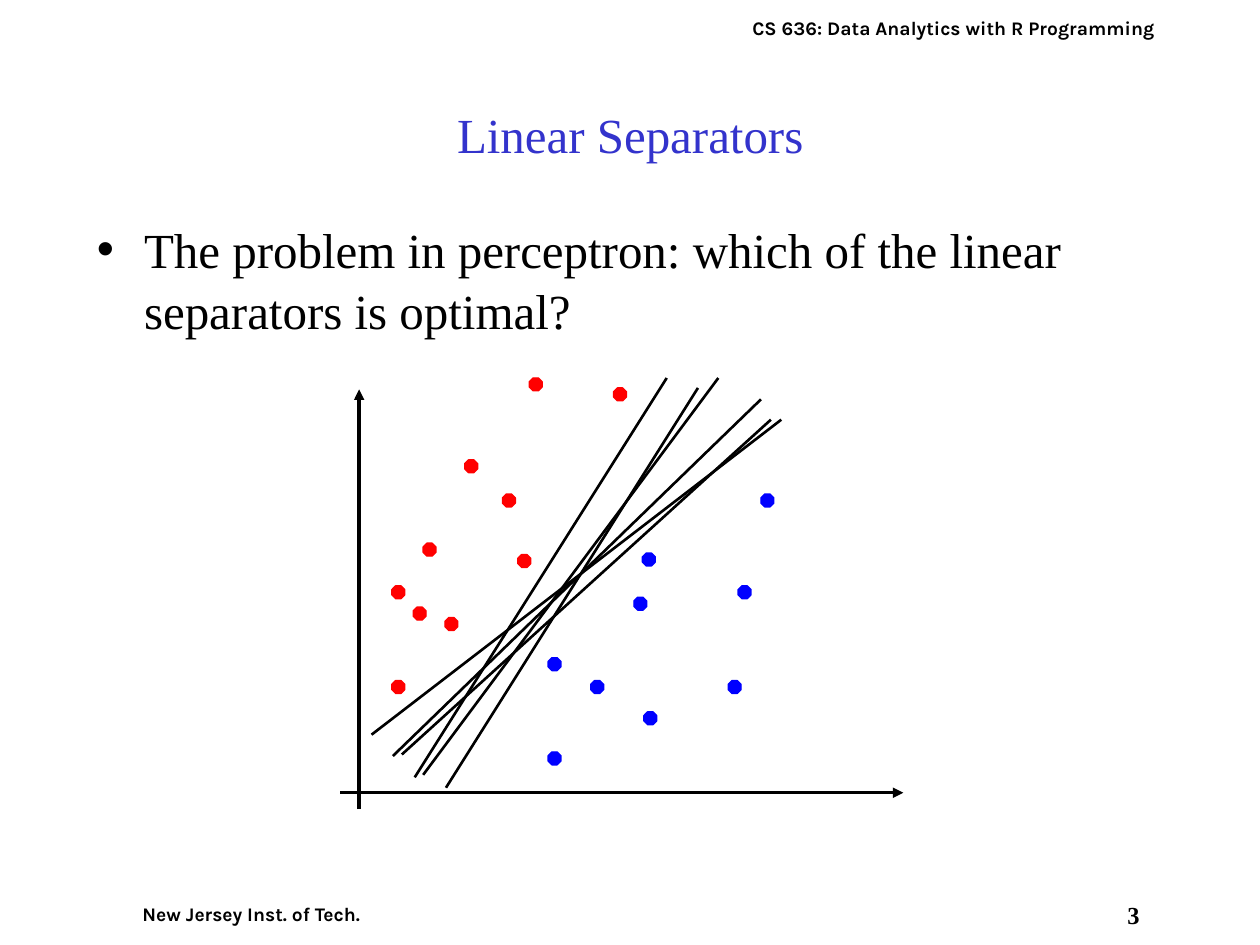
from lxml.etree import SubElement
from pptx import Presentation
from pptx.dml.color import RGBColor
from pptx.enum.shapes import MSO_CONNECTOR as Connector, MSO_SHAPE as Shape
from pptx.enum.text import MSO_ANCHOR as Anchor, MSO_AUTO_SIZE as AutoSize, PP_ALIGN as Align
from pptx.oxml.ns import qn
from pptx.util import Cm, Pt

COLORS = {
    "ink": "000000",
    "paper": "FFFFFF",
    "title": "3333CC",
    "red": "FF0000",
    "blue": "0000FF",
}
SERIF, SANS = "Times New Roman", "Karla"
DOT_SIZE = 0.26
RED_CLASS = [
    (10.13, 9.96), (8.53, 10.95), (8.97, 12.45), (7.9, 13.72), (9.37, 9.27),
    (7.9, 11.81), (8.33, 12.24), (10.44, 11.18), (10.67, 7.62), (12.37, 7.82),
]
BLUE_CLASS = [
    (12.95, 11.15), (11.91, 13.72), (14.68, 13.72), (11.05, 15.16), (12.78, 12.04),
    (11.05, 13.26), (12.98, 14.35), (14.88, 11.81), (15.34, 9.96),
]
AXES = [(7.24, 16.31, 7.24, 7.85), (6.86, 15.98, 18.21, 15.98)]
SEPARATORS = [
    (8.1, 15.21, 15.54, 8.46), (8.53, 15.62, 14.48, 7.62), (7.49, 14.81, 15.75, 8.46),
    (8.99, 15.88, 14.07, 7.82), (8.36, 15.67, 13.44, 7.62), (7.92, 15.24, 15.34, 8.05),
]


def rgb(name):
    """Return the palette colour with this name."""
    return RGBColor.from_string(COLORS[name])


def write(frame, text, size, font=SERIF, color="ink", bold=False, align=Align.CENTER, spacing=1.0):
    """Write one formatted paragraph into a text frame and return it."""
    frame.word_wrap = True
    frame.auto_size = AutoSize.NONE
    paragraph = frame.paragraphs[0]
    paragraph.alignment = align
    paragraph.space_before = Pt(0)
    paragraph.line_spacing = spacing
    run = paragraph.add_run()
    run.text = text
    run.font.size = Pt(size)
    run.font.name = font
    run.font.bold = bold
    run.font.color.rgb = rgb(color)
    return paragraph


def place(placeholder, left, top, width, height):
    """Move and size a placeholder."""
    placeholder.left, placeholder.top = Cm(left), Cm(top)
    placeholder.width, placeholder.height = Cm(width), Cm(height)
    return placeholder.text_frame


def add_bullet(paragraph, indent):
    """Give a paragraph a black bullet with a hanging indent."""
    properties = paragraph._p.get_or_add_pPr()
    properties.set("marL", str(Cm(indent)))
    properties.set("indent", str(-Cm(indent)))
    bullet_color = SubElement(properties, qn("a:buClr"))
    SubElement(bullet_color, qn("a:srgbClr"), val=COLORS["ink"])
    SubElement(properties, qn("a:buChar"), char="•")


def add_label(slide, text, left, top, width, height, inset, **style):
    """Add a bold line of running header or footer text."""
    label = slide.shapes.add_textbox(Cm(left), Cm(top), Cm(width), Cm(height))
    label.fill.solid()
    label.fill.fore_color.rgb = rgb("paper")
    frame = label.text_frame
    frame.margin_left = frame.margin_right = Cm(inset)
    frame.margin_top = frame.margin_bottom = Cm(inset)
    write(frame, text, bold=True, **style)


def add_dot(slide, left, top, color):
    """Add one data point."""
    dot = slide.shapes.add_shape(Shape.OCTAGON, Cm(left), Cm(top), Cm(DOT_SIZE), Cm(DOT_SIZE))
    dot.shadow.inherit = False
    dot.fill.solid()
    dot.fill.fore_color.rgb = dot.line.color.rgb = rgb(color)
    dot.line.width = Pt(0.75)


def add_line(slide, ends, width, arrow=False):
    """Add a straight black line, with an arrowhead at its end if asked."""
    line = slide.shapes.add_connector(Connector.STRAIGHT, *map(Cm, ends))
    line.line.color.rgb = rgb("ink")
    line.line.width = Pt(width)
    if arrow:
        SubElement(line.line._get_or_add_ln(), qn("a:tailEnd"), type="triangle")
    SubElement(line._element.spPr, qn("a:effectLst"))


def main():
    """Build the slide and save it."""
    deck = Presentation()
    deck.slide_width, deck.slide_height = Cm(25.4), Cm(19.05)
    slide = deck.slides.add_slide(deck.slide_layouts[1])

    heading = place(slide.shapes.title, 1.91, 1.1, 21.59, 3.18)
    heading.vertical_anchor = Anchor.MIDDLE
    write(heading, "Linear Separators", 28, color="title")

    body = place(slide.placeholders[1], 1.7, 4.23, 22.86, 13.97)
    question = write(
        body,
        "The problem in perceptron: which of the linear separators is optimal?",
        28, align=Align.LEFT, spacing=1.05,
    )
    add_bullet(question, 0.95)

    add_label(slide, "3", 22.43, 18.14, 0.84, 0.91, 0, size=14)
    add_label(slide, "New Jersey Inst. of Tech.", 2.11, 18.06, 5.92, 0.74, 0.13, size=11, font=SANS)
    add_label(slide, "CS 636: Data Analytics with R Programming",
              14.68, 0.2, 9.09, 0.74, 0.13, size=11, font=SANS)

    for axis in AXES:
        add_line(slide, axis, 2, arrow=True)
    for color, points in (("red", RED_CLASS), ("blue", BLUE_CLASS)):
        for left, top in points:
            add_dot(slide, left, top, color)
    for separator in SEPARATORS:
        add_line(slide, separator, 1.5)

    deck.save("out.pptx")


if __name__ == "__main__":
    main()
